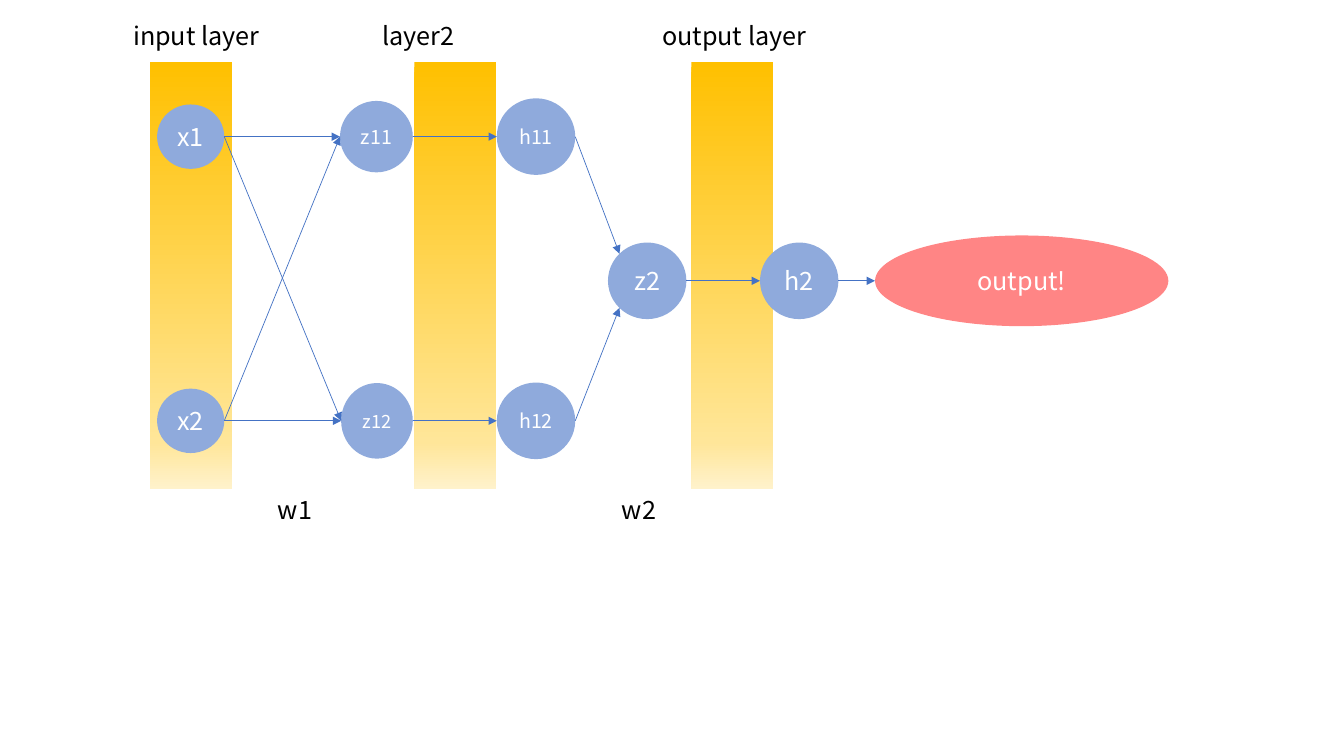
from copy import deepcopy
from dataclasses import dataclass
from math import sqrt

from lxml import etree
from pptx import Presentation
from pptx.dml.color import RGBColor
from pptx.enum.shapes import MSO_CONNECTOR, MSO_SHAPE
from pptx.enum.text import MSO_ANCHOR, PP_ALIGN
from pptx.oxml.ns import qn
from pptx.util import Pt

STRAIGHT = MSO_CONNECTOR.STRAIGHT
RECTANGLE, OVAL = MSO_SHAPE.RECTANGLE, MSO_SHAPE.OVAL
MIDDLE, TOP = MSO_ANCHOR.MIDDLE, MSO_ANCHOR.TOP
CENTER, LEFT_ALIGNED = PP_ALIGN.CENTER, PP_ALIGN.LEFT


@dataclass(frozen=True)
class Theme:
    font: str = "Noto Sans CJK KR"
    node: str = "8FAADC"
    output: str = "FF0000"
    output_opacity: int = 48
    arrow: str = "4472C4"
    arrow_width: float = 0.5
    node_text: str = "FFFFFF"
    label_text: str = "000000"
    band_stops: tuple = ((0, "FFC000"), (0.89, "FFE699"), (1, "FFF2CC"))
    large: float = 18
    medium: float = 14
    small: float = 13


THEME = Theme()


@dataclass(frozen=True)
class Node:
    text: str
    center_x: float
    center_y: float
    width: float = 56
    height: float = 54.7
    size: float = THEME.large
    color: str = THEME.node
    opacity: int = 100

    def edge(self, direction: tuple) -> tuple:
        """Point where the outline meets a unit direction from the centre."""
        return (Pt(self.center_x + direction[0] * self.width / 2),
                Pt(self.center_y + direction[1] * self.height / 2))


@dataclass(frozen=True)
class Label:
    text: str
    left: float
    top: float
    width: float


@dataclass(frozen=True)
class Link:
    source: str
    target: str
    entry: tuple = (-1, 0)


# Network layout, in points
SLIDE_WIDTH, SLIDE_HEIGHT = 960, 540
BAND_LEFTS = (107.2, 295.9, 493.8)
BAND_TOP, BAND_WIDTH, BAND_HEIGHT = 44.2, 58.6, 305.4
UPPER, MIDWAY, LOWER = 97.6, 200.6, 300.6
HEADING_TOP, WEIGHT_TOP, LABEL_HEIGHT = 10.8, 349.8, 29.1

RIGHT = (1, 0)
UPPER_LEFT = (-sqrt(0.5), -sqrt(0.5))
LOWER_LEFT = (-sqrt(0.5), sqrt(0.5))

NODES = (
    Node("x1", 136.2, UPPER, 48, 46),
    Node("x2", 136.2, LOWER, 48, 46),
    Node("z11", 268.9, UPPER, 52, 51, THEME.medium),
    Node("z12", 269.3, LOWER, 51.2, 54, THEME.small),
    Node("h11", 382.9, UPPER, size=THEME.medium),
    Node("h12", 382.9, LOWER, size=THEME.medium),
    Node("z2", 462.3, MIDWAY),
    Node("h2", 570.9, MIDWAY),
    Node("output!", 729.8, MIDWAY, 209.5, 64.8,
         color=THEME.output, opacity=THEME.output_opacity),
)

LINKS = (
    Link("x1", "z11"), Link("x1", "z12"),
    Link("x2", "z11"), Link("x2", "z12"),
    Link("z11", "h11"), Link("z12", "h12"),
    Link("h11", "z2", UPPER_LEFT), Link("h12", "z2", LOWER_LEFT),
    Link("z2", "h2"), Link("h2", "output!"),
)

LABELS = (
    Label("input layer", 88, HEADING_TOP, 107.3),
    Label("layer2", 265.8, HEADING_TOP, 121.7),
    Label("output layer", 465.8, HEADING_TOP, 121.7),
    Label("w1", 191.5, WEIGHT_TOP, 69.8),
    Label("w2", 437.2, WEIGHT_TOP, 69.8),
)


def write_text(shape, text: str, size: float, color: str, alignment, anchor) -> None:
    frame = shape.text_frame
    frame.vertical_anchor = anchor
    paragraph = frame.paragraphs[0]
    paragraph.alignment = alignment
    run = paragraph.add_run()
    run.text = text
    run.font.name = THEME.font
    run.font.size = Pt(size)
    run.font.color.rgb = RGBColor.from_string(color)


def add_plain_shape(slide, kind, left: float, top: float, width: float, height: float):
    shape = slide.shapes.add_shape(kind, Pt(left), Pt(top), Pt(width), Pt(height))
    shape.shadow.inherit = False
    shape.line.fill.background()
    return shape


def add_band(slide, left: float) -> None:
    band = add_plain_shape(slide, RECTANGLE, left, BAND_TOP, BAND_WIDTH, BAND_HEIGHT)
    band.fill.gradient()
    band.fill.gradient_angle = 270
    stop_list = band._element.spPr.find(".//" + qn("a:gsLst"))
    stop_list.append(deepcopy(stop_list[-1]))
    for stop, (position, color) in zip(band.fill.gradient_stops, THEME.band_stops):
        stop.position = position
        stop.color.rgb = RGBColor.from_string(color)


def add_node(slide, node: Node) -> None:
    oval = add_plain_shape(slide, OVAL, node.center_x - node.width / 2,
                           node.center_y - node.height / 2, node.width, node.height)
    oval.fill.solid()
    oval.fill.fore_color.rgb = RGBColor.from_string(node.color)
    if node.opacity < 100:
        color = oval._element.spPr.find(qn("a:solidFill"))[0]
        etree.SubElement(color, qn("a:alpha"), val=str(node.opacity * 1000))
    oval.text_frame.word_wrap = False
    write_text(oval, node.text, node.size, THEME.node_text, CENTER, MIDDLE)


def add_arrow(slide, source: Node, target: Node, entry: tuple) -> None:
    arrow = slide.shapes.add_connector(STRAIGHT, *source.edge(RIGHT), *target.edge(entry))
    arrow.line.color.rgb = RGBColor.from_string(THEME.arrow)
    arrow.line.width = Pt(THEME.arrow_width)
    etree.SubElement(arrow.line._get_or_add_ln(), qn("a:tailEnd"), type="triangle")
    etree.SubElement(arrow._element.spPr, qn("a:effectLst"))


def add_label(slide, label: Label) -> None:
    box = slide.shapes.add_textbox(Pt(label.left), Pt(label.top),
                                   Pt(label.width), Pt(LABEL_HEIGHT))
    box.text_frame.word_wrap = True
    write_text(box, label.text, THEME.large, THEME.label_text, LEFT_ALIGNED, TOP)


def main() -> None:
    presentation = Presentation()
    presentation.slide_width = Pt(SLIDE_WIDTH)
    presentation.slide_height = Pt(SLIDE_HEIGHT)
    slide = presentation.slides.add_slide(presentation.slide_layouts[6])

    # Layer bands
    for left in BAND_LEFTS:
        add_band(slide, left)

    # Nodes and the arrows between them
    for node in NODES:
        add_node(slide, node)
    nodes_by_text = {node.text: node for node in NODES}
    for link in LINKS:
        add_arrow(slide, nodes_by_text[link.source], nodes_by_text[link.target], link.entry)

    # Layer and weight labels
    for label in LABELS:
        add_label(slide, label)

    presentation.save("out.pptx")


if __name__ == "__main__":
    main()
